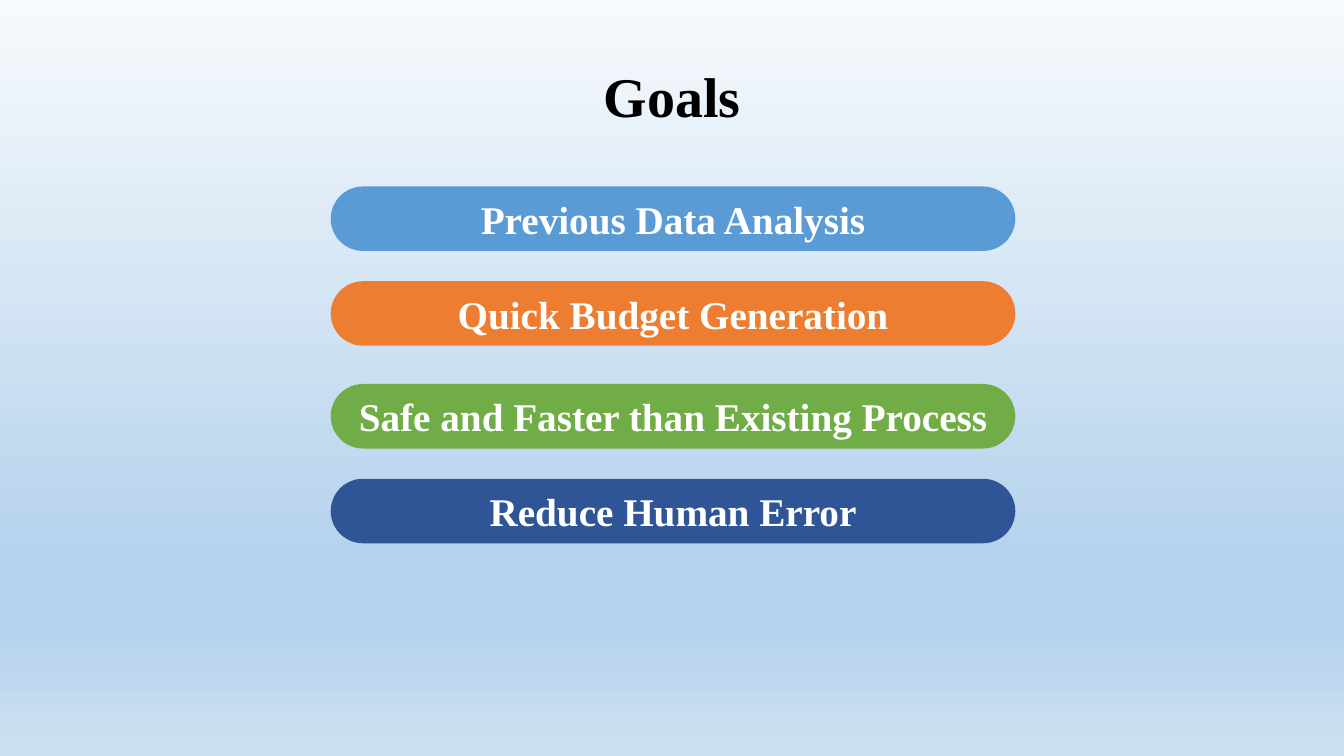
from pptx import Presentation
from pptx.dml.color import RGBColor
from pptx.enum.shapes import MSO_SHAPE
from pptx.enum.text import MSO_ANCHOR, PP_ALIGN
from pptx.oxml.ns import qn
from pptx.util import Inches, Pt
from lxml.etree import SubElement

SLIDE_WIDTH, SLIDE_HEIGHT = 13.33, 7.5
COLORS = {
    "title": "000000",
    "label": "FFFFFF",
    "blue": "5B9BD5",
    "orange": "ED7D31",
    "green": "70AD47",
    "navy": "2F5597",
    "sky_top": "F7FAFD",
    "sky_middle": "B5D2EC",
    "sky_bottom": "CEE1F2",
}
SKY_STOPS = [(0, "sky_top"), (74, "sky_middle"), (83, "sky_middle"), (100, "sky_bottom")]
PILL_LEFT, PILL_WIDTH, PILL_HEIGHT = 3.28, 6.79, 0.64
GOALS = [
    (1.85, "blue", "Previous Data Analysis"),
    (2.79, "orange", "Quick Budget Generation"),
    (3.81, "green", "Safe and Faster than Existing Process"),
    (4.75, "navy", "Reduce Human Error"),
]


class GoalsSlide:
    font_name = "Times New Roman"

    def __init__(self, presentation):
        self.slide = presentation.slides.add_slide(presentation.slide_layouts[6])

    def background(self, stops):
        """Fill the background with a gradient running from top to bottom."""
        fill = self.slide.background.fill
        fill.gradient()
        fill.gradient_angle = 270
        stop_list = self.slide.element.find(".//" + qn("a:gsLst"))
        for default_stop in list(stop_list):
            stop_list.remove(default_stop)
        for percent, color in stops:
            stop = SubElement(stop_list, qn("a:gs"), pos=str(percent * 1000))
            SubElement(stop, qn("a:srgbClr"), val=COLORS[color])

    def set_text(self, shape, text, size, color):
        shape.text_frame.word_wrap = True
        paragraph = shape.text_frame.paragraphs[0]
        paragraph.text = text
        paragraph.alignment = PP_ALIGN.CENTER
        paragraph.font.name = self.font_name
        paragraph.font.size = Pt(size)
        paragraph.font.bold = True
        paragraph.font.color.rgb = RGBColor.from_string(COLORS[color])

    def title(self, text):
        shape = self.slide.shapes.add_textbox(
            Inches(0), Inches(0.56), Inches(SLIDE_WIDTH), Inches(0.77))
        self.set_text(shape, text, 40, "title")

    def pill(self, top, color, text):
        shape = self.slide.shapes.add_shape(
            MSO_SHAPE.ROUNDED_RECTANGLE, Inches(PILL_LEFT), Inches(top),
            Inches(PILL_WIDTH), Inches(PILL_HEIGHT))
        shape.adjustments[0] = 0.5
        shape.shadow.inherit = False
        shape.fill.solid()
        shape.fill.fore_color.rgb = RGBColor.from_string(COLORS[color])
        shape.line.fill.background()
        shape.text_frame.vertical_anchor = MSO_ANCHOR.MIDDLE
        self.set_text(shape, text, 28, "label")


def main():
    presentation = Presentation()
    presentation.slide_width = Inches(SLIDE_WIDTH)
    presentation.slide_height = Inches(SLIDE_HEIGHT)
    goals_slide = GoalsSlide(presentation)
    goals_slide.background(SKY_STOPS)
    goals_slide.title("Goals")
    for top, color, text in GOALS:
        goals_slide.pill(top, color, text)
    presentation.save("out.pptx")


if __name__ == "__main__":
    main()
